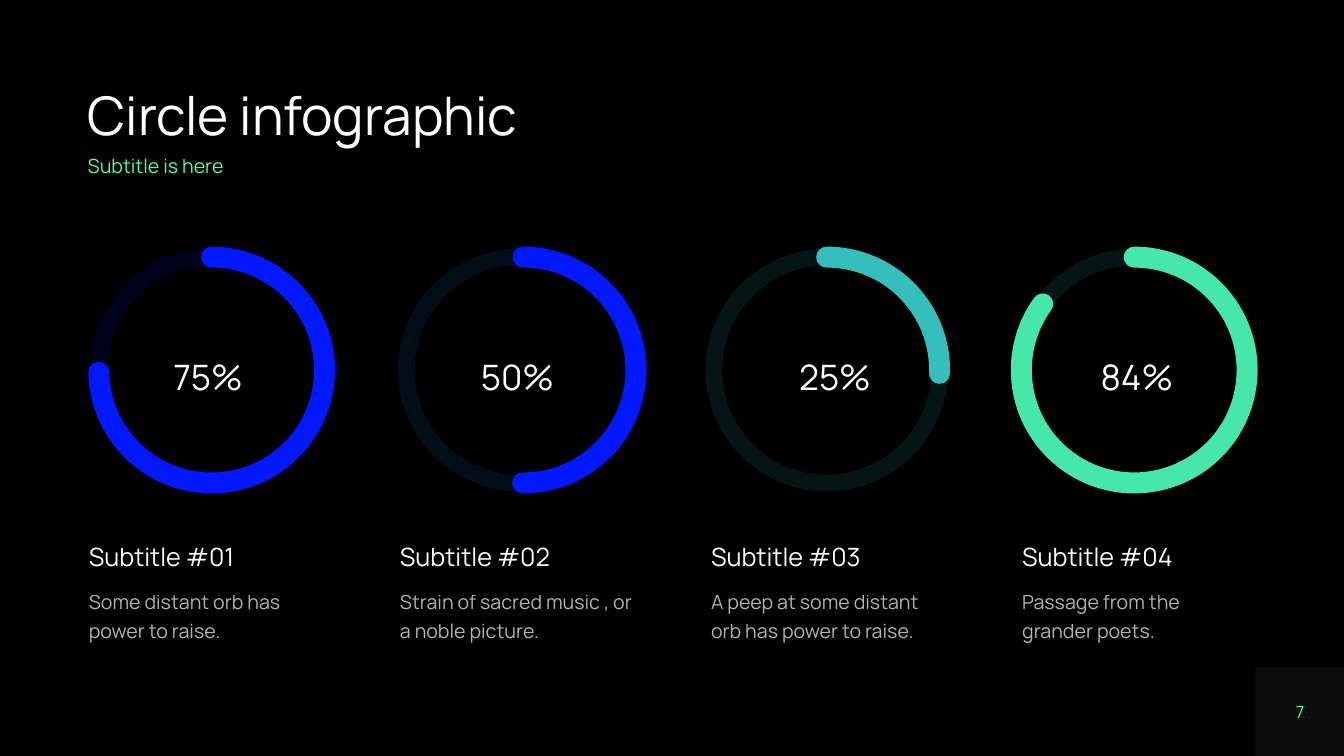
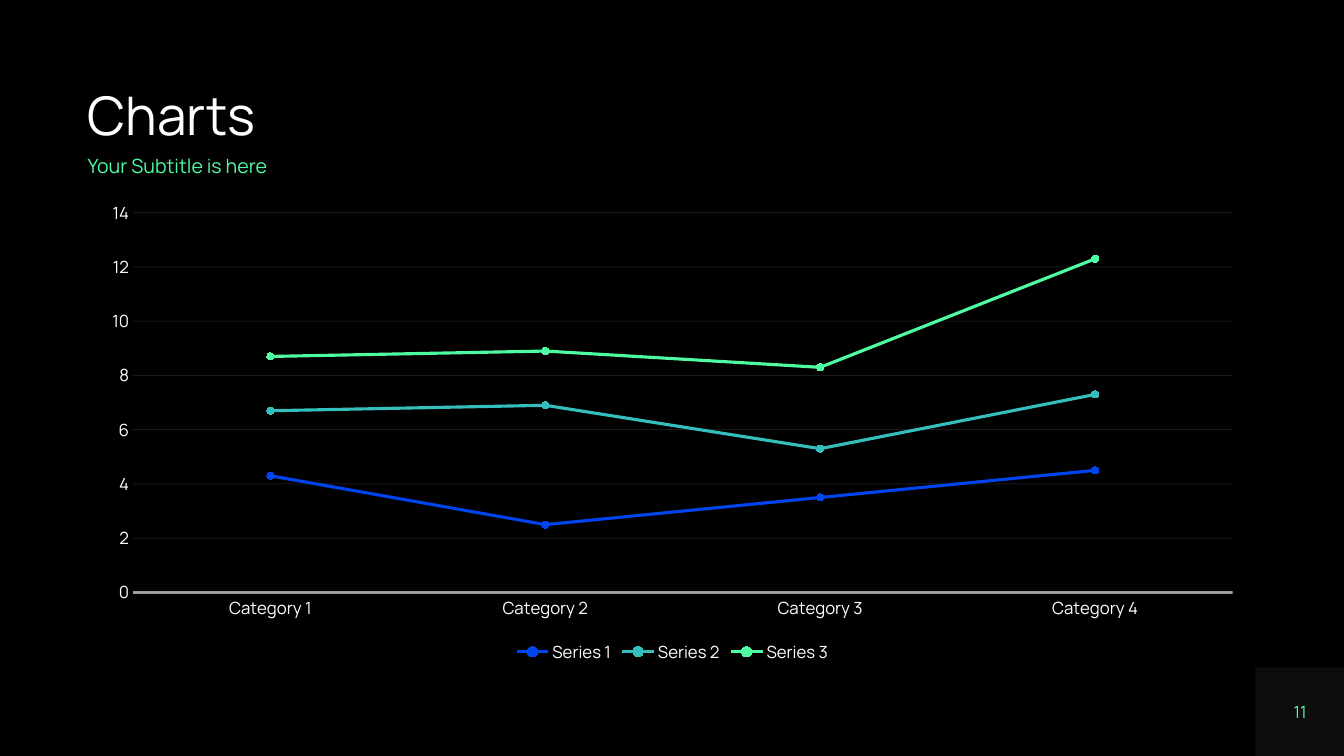
from pptx import Presentation
from pptx.chart.data import CategoryChartData
from pptx.dml.color import RGBColor
from pptx.enum.chart import (XL_CHART_TYPE, XL_LEGEND_POSITION,
                             XL_MARKER_STYLE, XL_TICK_MARK)
from pptx.enum.shapes import MSO_SHAPE
from pptx.enum.text import MSO_ANCHOR, MSO_AUTO_SIZE, PP_ALIGN
from pptx.oxml.ns import qn
from pptx.util import Cm, Pt
from lxml import etree

RECT, OVAL, ARC = MSO_SHAPE.RECTANGLE, MSO_SHAPE.OVAL, MSO_SHAPE.ARC
LEFT, CENTER = PP_ALIGN.LEFT, PP_ALIGN.CENTER
TOP, MIDDLE = MSO_ANCHOR.TOP, MSO_ANCHOR.MIDDLE
GROW = MSO_AUTO_SIZE.SHAPE_TO_FIT_TEXT
STACKED_LINES = XL_CHART_TYPE.LINE_MARKERS_STACKED
LEGEND_BOTTOM = XL_LEGEND_POSITION.BOTTOM
DOT = XL_MARKER_STYLE.CIRCLE
NO_TICK = XL_TICK_MARK.NONE

FONT = "Manrope"
COLORS = {
    "black": "000000", "white": "FFFFFF", "gray": "808080", "grid": "404040",
    "accent": "4EFDA2", "mint": "45E7AB", "teal": "34BEBC",
    "blue": "0218FF", "sky": "117FD6", "royal": "0044ED",
}


class Deck:
    """Holds the shared style and the slide being built."""

    def __init__(self):
        self.prs = Presentation()
        self.prs.slide_width, self.prs.slide_height = Cm(33.87), Cm(19.05)
        self.paint(self.prs.slide_master.background.fill, "black")
        self.slide = None

    # Style helpers
    def paint(self, fill, color):
        fill.solid()
        fill.fore_color.rgb = RGBColor.from_string(COLORS[color])

    def fade(self, element, percent):
        for color in element.iter(qn("a:srgbClr")):
            etree.SubElement(color, qn("a:alpha"), val=str(percent * 1000))

    def stroke(self, line, color, width):
        self.paint(line.fill, color)
        line.width = Pt(width)

    def style_font(self, font, size, color="white"):
        font.name, font.size = FONT, Pt(size)
        self.paint(font.fill, color)

    def set_text(self, shape, box, paragraphs, spacing, align=LEFT,
                 anchor=TOP, wrap=True):
        """Fill a shape with (text, size, color, opacity) paragraphs."""
        shape.left, shape.top, shape.width, shape.height = map(Cm, box)
        frame = shape.text_frame
        frame.margin_left = frame.margin_right = 0
        frame.margin_top = frame.margin_bottom = 0
        frame.word_wrap, frame.auto_size = wrap, GROW
        frame.vertical_anchor = anchor
        for i, (text, size, color, opacity) in enumerate(paragraphs):
            par = frame.add_paragraph() if i else frame.paragraphs[0]
            par.alignment, par.line_spacing = align, spacing
            par.space_before = Pt(10 if i else 0)
            for j, part in enumerate(text.split("\n")):
                if j:
                    par.add_line_break()
                run = par.add_run()
                run.text = part
                self.style_font(run.font, size, color)
                if opacity < 100:
                    self.fade(run.font._element, opacity)

    # Elements
    def text(self, box, paragraphs, spacing=1.2, parent=None, **options):
        shapes = (parent or self.slide).shapes
        self.set_text(shapes.add_textbox(*map(Cm, box)), box, paragraphs,
                      spacing, **options)

    def shape(self, kind, box, parent=None):
        shape = (parent or self.slide).shapes.add_shape(kind, *map(Cm, box))
        shape.shadow.inherit = False
        return shape

    def new_slide(self, title, subtitle, number):
        self.slide = self.prs.slides.add_slide(self.prs.slide_layouts[0])
        corner = self.shape(RECT, (31.64, 16.82, 2.23, 2.23))
        self.paint(corner.fill, "gray")
        self.fade(corner.element.spPr, 10)
        corner.line.fill.background()
        heading, subheading = self.slide.placeholders
        self.set_text(heading, (2.21, 2.26, 29.44, 1.47),
                      [(title, 38, "white", 100)], 0.9)
        self.set_text(subheading, (2.21, 3.94, 5.33, 0.53),
                      [(subtitle, 14, "accent", 100)], 0.9)
        self.text((32.46, 17.68, 0.61, 0.51), [(number, 12, "accent", 100)],
                  1, align=CENTER, anchor=MIDDLE, wrap=False)

    def dial(self, left, arc_shift, label_left, label, end_angle, track, color):
        """Draw a faint ring with a round-ended arc from twelve o'clock."""
        top, size = 6.48, 5.69
        group = self.slide.shapes.add_group_shape()
        self.text((label_left, 8.74, 2.11, 1.22),
                  [(label, 25, "white", 100)], parent=group)
        ring = self.shape(OVAL, (left, top, size, size), group)
        ring.fill.background()
        self.stroke(ring.line, track, 12)
        self.fade(ring.element.spPr, 11)
        arc = self.shape(ARC, (left + arc_shift, top, size, size), group)
        arc.fill.background()
        arc.adjustments[0] = 162
        arc.adjustments[1] = end_angle * 0.6
        self.stroke(arc.line, color, 15)
        arc.element.spPr.find(qn("a:ln")).set("cap", "rnd")

    def line_chart(self, box, categories, series):
        data = CategoryChartData()
        data.categories = categories
        for name, values, _ in series:
            data.add_series(name, values)
        chart = self.slide.shapes.add_chart(
            STACKED_LINES, *map(Cm, box), data).chart
        self.style_font(chart.font, 10)
        chart.has_title = False
        chart.has_legend = True
        chart.legend.position = LEGEND_BOTTOM
        chart.legend.include_in_layout = False
        self.style_font(chart.legend.font, 12)

        # Axes
        for axis in (chart.category_axis, chart.value_axis):
            axis.major_tick_mark = axis.minor_tick_mark = NO_TICK
            self.style_font(axis.tick_labels.font, 12)
        base = chart.category_axis.format
        self.stroke(base.line, "white", 2)
        self.fade(base._element.spPr, 60)
        chart.value_axis.format.line.fill.background()
        grid = chart.value_axis.major_gridlines.format
        self.stroke(grid.line, "grid", 0.75)
        self.fade(grid._element.spPr, 40)

        # Series
        plot = chart.plots[0]
        plot.vary_by_categories = False
        for line, (_, _, color) in zip(plot.series, series):
            line.smooth = False
            self.stroke(line.format.line, color, 2.25)
            line.marker.style, line.marker.size = DOT, 5
            self.paint(line.marker.format.fill, color)
            self.stroke(line.marker.format.line, color, 0.75)


def circle_slide(deck):
    deck.new_slide("Circle infographic", "Subtitle is here", "7")

    # Captions: text, width
    captions = [
        ("Some distant orb has power to raise.", 6.2),
        ("Strain of sacred music , or a noble picture.", 6.2),
        ("A peep at some distant\norb has power to raise.", 6.2),
        ("Passage from the grander poets.", 5.87),
    ]
    for i, (caption, width) in enumerate(captions):
        deck.text((2.24 + 7.84 * i, 13.49, width, 2.67),
                  [(f"Subtitle #0{i + 1}", 18, "white", 100),
                   (caption, 14, "white", 70)])

    # Dials: arc shift, label left, label, end angle, track, arc colour
    dials = [
        (0, 4.37, "75%", 178.87, "blue", "blue"),
        (0.1, 12.12, "50%", 90.23, "sky", "blue"),
        (0, 20.14, "25%", 1.68, "teal", "teal"),
        (0, 27.74, "84%", 215.86, "teal", "mint"),
    ]
    for i, dial in enumerate(dials):
        deck.dial(2.49 + 7.75 * i, *dial)


def chart_slide(deck):
    deck.new_slide("Charts", "Your Subtitle is here", "11")
    deck.line_chart(
        (2.24, 4.83, 29.41, 11.99),
        [f"Category {n}" for n in range(1, 5)],
        [("Series 1", (4.3, 2.5, 3.5, 4.5), "royal"),
         ("Series 2", (2.4, 4.4, 1.8, 2.8), "teal"),
         ("Series 3", (2, 2, 3, 5), "accent")])


def main():
    deck = Deck()
    circle_slide(deck)
    chart_slide(deck)
    deck.prs.save("out.pptx")


if __name__ == "__main__":
    main()
